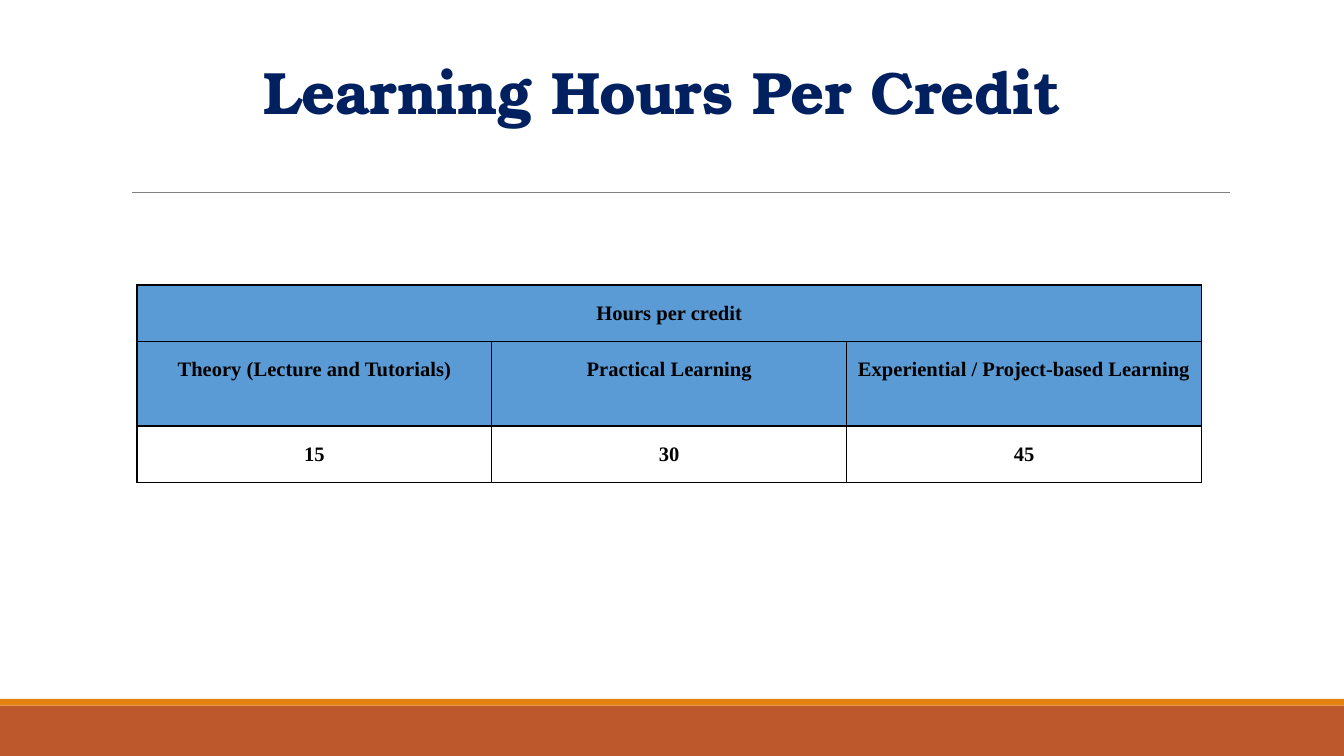
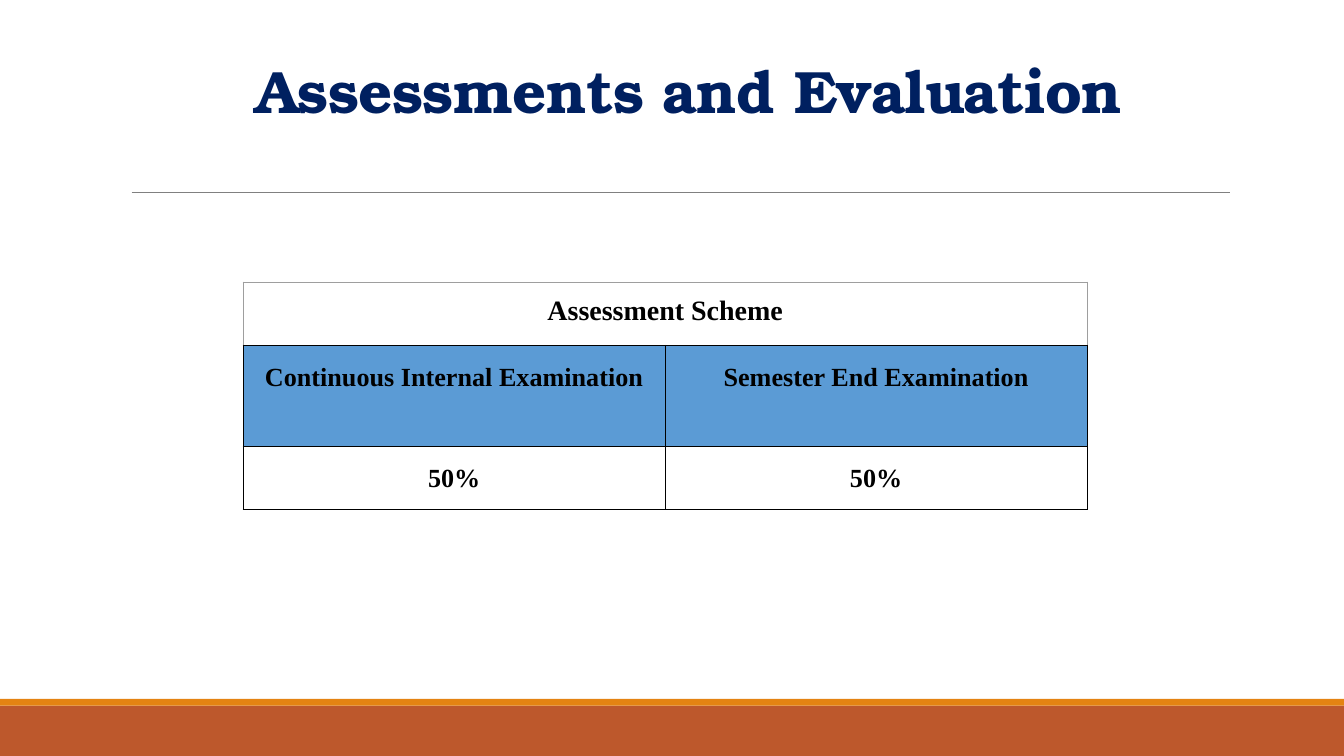
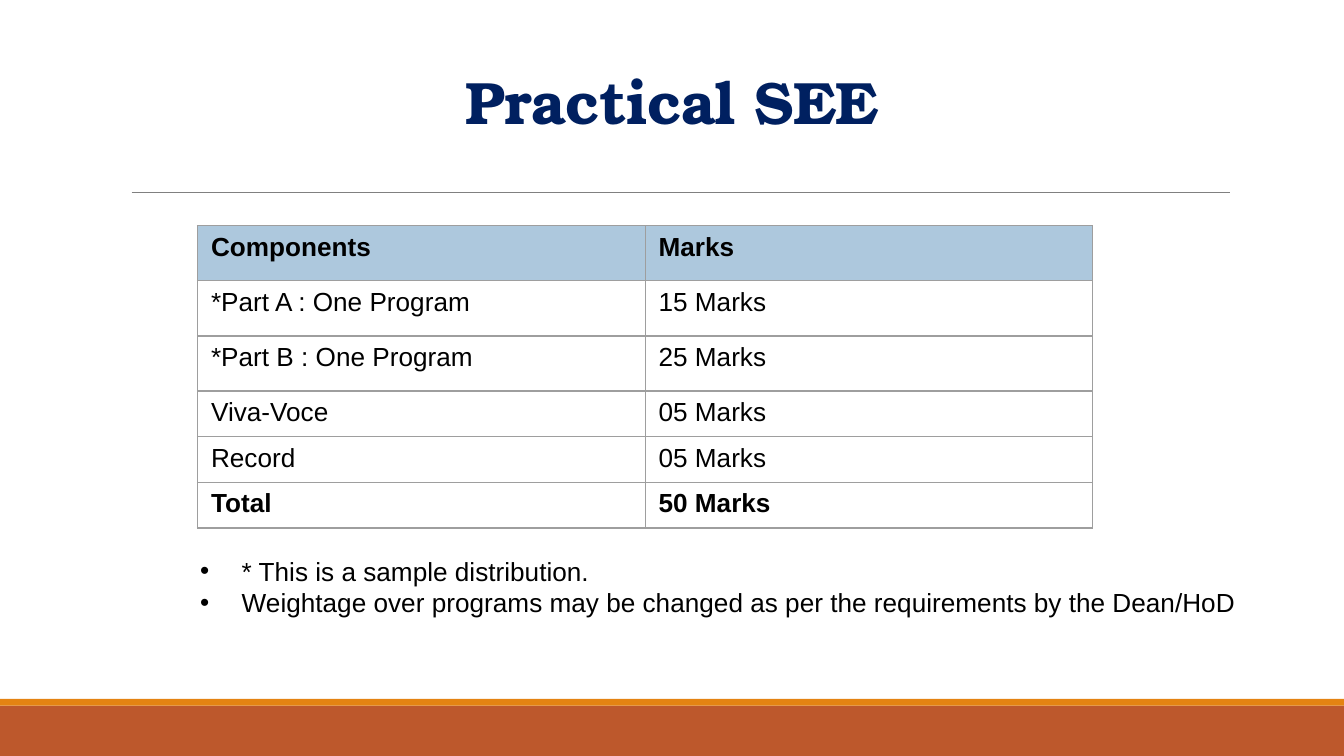
from dataclasses import dataclass

from lxml.etree import SubElement
from pptx import Presentation
from pptx.dml.color import RGBColor
from pptx.enum.shapes import MSO_CONNECTOR, MSO_SHAPE
from pptx.enum.text import MSO_ANCHOR, MSO_AUTO_SIZE, PP_ALIGN
from pptx.oxml.ns import qn
from pptx.util import Inches, Pt


@dataclass(frozen=True)
class Theme:
    band: str = "BD582C"
    band_edge: str = "E48312"
    rule: str = "808080"
    title: str = "002060"
    text: str = "000000"
    header: str = "5B9BD5"
    marks_header: str = "ADC8DD"
    grid: str = "000000"
    soft_grid: str = "9E9E9E"
    title_font: str = "TeX Gyre Bonum"
    table_font: str = "Times New Roman"
    body_font: str = "Arial"
    title_size: float = 32
    caption_size: float = 15
    body_size: float = 14
    small_size: float = 11


THEME = Theme()


def write(paragraph, text, *, font, size, color=THEME.text, bold=False, align=PP_ALIGN.LEFT,
          line_spacing=None, before=None, after=None, tracking=None):
    paragraph.alignment = align
    if line_spacing is not None:
        paragraph.line_spacing = line_spacing
    if before is not None:
        paragraph.space_before = Pt(before)
    if after is not None:
        paragraph.space_after = Pt(after)
    run = paragraph.add_run()
    run.text = text
    run.font.name = font
    run.font.size = Pt(size)
    run.font.bold = bold
    run.font.color.rgb = RGBColor.from_string(color)
    if tracking is not None:
        run.font._element.set("spc", str(round(tracking * 100)))


def indent(paragraph, left, first_line=0):
    properties = paragraph._p.get_or_add_pPr()
    properties.set("marL", str(Inches(left)))
    properties.set("indent", str(Inches(first_line)))
    return properties


def set_margins(target, horizontal, vertical):
    target.margin_left = target.margin_right = Inches(horizontal)
    target.margin_top = target.margin_bottom = Inches(vertical)


def set_borders(cell, color, bottom_color=None):
    properties = cell._tc.get_or_add_tcPr()
    for position, side in enumerate(("lnL", "lnR", "lnT", "lnB")):
        line = SubElement(properties, qn(f"a:{side}"), w=str(Pt(0.75)))
        fill = SubElement(line, qn("a:solidFill"))
        side_color = bottom_color if side == "lnB" and bottom_color else color
        SubElement(fill, qn("a:srgbClr"), val=side_color)
        properties.insert(position, line)


class Deck:
    def __init__(self, theme):
        self.theme = theme
        self.presentation = Presentation()
        self.presentation.slide_width = Inches(10)
        self.presentation.slide_height = Inches(10 * 9 / 16)
        self.slide = None

    def add_slide(self, title, title_box, title_indent=0):
        """Start a slide with the shared bands, rule and title style."""
        self.slide = self.presentation.slides.add_slide(self.presentation.slide_layouts[6])
        self.add_band(Inches(5.25), self.presentation.slide_height, self.theme.band)
        self.add_band(Inches(5.2), Inches(5.25), self.theme.band_edge)
        self.add_rule(0.98, 9.15, 1.43)
        self.add_title(title, title_box, title_indent)

    def add_band(self, top, bottom, color):
        band = self.slide.shapes.add_shape(
            MSO_SHAPE.RECTANGLE, 0, top, self.presentation.slide_width, bottom - top)
        band.shadow.inherit = False
        band.fill.solid()
        band.fill.fore_color.rgb = RGBColor.from_string(color)
        band.line.fill.background()

    def add_rule(self, left, right, top):
        rule = self.slide.shapes.add_connector(
            MSO_CONNECTOR.STRAIGHT, Inches(left), Inches(top), Inches(right), Inches(top))
        rule.line.color.rgb = RGBColor.from_string(self.theme.rule)
        rule.line.width = Pt(0.5)
        SubElement(rule._element.spPr, qn("a:effectLst"))

    def add_title(self, text, box, left_indent):
        frame = self.slide.shapes.add_textbox(*map(Inches, box)).text_frame
        frame.word_wrap = True
        set_margins(frame, 0.1, 0.1)
        paragraph = frame.paragraphs[0]
        write(paragraph, text, font=self.theme.title_font, size=self.theme.title_size,
              color=self.theme.title, bold=True, align=PP_ALIGN.CENTER,
              line_spacing=1.15, before=18, tracking=-0.4)
        indent(paragraph, left_indent)

    def add_table(self, left, top, column_width, row_heights, rows, style_cell):
        """Fill a table; style_cell(row) gives fill, borders, margins and text format.

        A row with a single text spans all columns.
        """
        column_count = max(map(len, rows))
        table = self.slide.shapes.add_table(
            len(rows), column_count, Inches(left), Inches(top),
            Inches(column_width * column_count), Inches(sum(row_heights))).table
        table.first_row = table.horz_banding = False
        for column in table.columns:
            column.width = Inches(column_width)
        for row_index, (texts, height) in enumerate(zip(rows, row_heights)):
            table.rows[row_index].height = Inches(height)
            style = style_cell(row_index)
            for column_index in range(column_count):
                cell = table.cell(row_index, column_index)
                cell.vertical_anchor = MSO_ANCHOR.TOP
                set_margins(cell, *style["margins"])
                if style["fill"]:
                    cell.fill.solid()
                    cell.fill.fore_color.rgb = RGBColor.from_string(style["fill"])
                else:
                    cell.fill.background()
                set_borders(cell, *style["borders"])
                if column_index < len(texts):
                    write(cell.text_frame.paragraphs[0], texts[column_index], **style["format"])
            if len(texts) < column_count:
                table.cell(row_index, 0).merge(table.cell(row_index, column_count - 1))

    def add_bullets(self, box, texts):
        frame = self.slide.shapes.add_textbox(*map(Inches, box)).text_frame
        frame.word_wrap = False
        frame.auto_size = MSO_AUTO_SIZE.SHAPE_TO_FIT_TEXT
        for index, text in enumerate(texts):
            paragraph = frame.add_paragraph() if index else frame.paragraphs[0]
            write(paragraph, text, font=self.theme.body_font, size=self.theme.body_size)
            properties = indent(paragraph, 0.31, -0.31)
            bullet_color = SubElement(properties, qn("a:buClr"))
            SubElement(bullet_color, qn("a:srgbClr"), val=self.theme.text)
            SubElement(properties, qn("a:buFont"), typeface=self.theme.body_font)
            SubElement(properties, qn("a:buChar"), char="•")


def build_learning_hours(deck):
    theme = deck.theme

    def style_cell(row):
        return {
            "fill": theme.header if row < 2 else None,
            "borders": (theme.grid,),
            "margins": (0.07, 0.1),
            "format": dict(font=theme.table_font, size=theme.small_size, bold=True,
                           align=PP_ALIGN.CENTER, line_spacing=1.15, before=12, after=12),
        }

    deck.add_slide("Learning Hours Per Credit ", (0.34, 0.23, 9.32, 1.09))
    deck.add_table(1.02, 2.12, 2.64, (0.42, 0.63, 0.42), [
        ("Hours per credit",),
        ("Theory (Lecture and Tutorials)", "Practical Learning",
         "Experiential / Project-based Learning"),
        ("15", "30", "45"),
    ], style_cell)


def build_assessments(deck):
    theme = deck.theme

    def style_cell(row):
        caption = row == 0
        return {
            "fill": theme.header if row == 1 else None,
            "borders": (theme.soft_grid, theme.grid) if caption else (theme.grid,),
            "margins": (0.1 if caption else 0.07, 0.1),
            "format": dict(font=theme.table_font, bold=True, align=PP_ALIGN.CENTER,
                           size=theme.caption_size if caption else theme.body_size,
                           line_spacing=None if caption else 1.15),
        }

    deck.add_slide("Assessments and Evaluation ", (0.51, 0.22, 8.6, 0.91), title_indent=0.78)
    deck.add_table(1.81, 2.1, 3.14, (0.47, 0.75, 0.47), [
        ("Assessment Scheme",),
        ("Continuous Internal Examination", "Semester End Examination"),
        ("50%", "50%"),
    ], style_cell)


def build_practical(deck):
    theme = deck.theme
    rows = [
        ("Components", "Marks"),
        ("*Part A : One Program", "15 Marks"),
        ("*Part B : One Program", "25 Marks"),
        ("Viva-Voce", "05 Marks"),
        ("Record", "05 Marks"),
        ("Total", "50 Marks"),
    ]

    def style_cell(row):
        return {
            "fill": theme.marks_header if row == 0 else None,
            "borders": (theme.soft_grid,),
            "margins": (0.1, 0.05),
            "format": dict(font=theme.body_font, size=theme.body_size,
                           bold=row in (0, len(rows) - 1)),
        }

    deck.add_slide("Practical SEE", (0.34, 0.3, 9.32, 0.9))
    deck.add_table(1.47, 1.68, 3.33, [0.41] * 3 + [0.34] * 3, rows, style_cell)
    deck.add_bullets((1.39, 4.08, 7.95, 0.57), [
        "* This is a sample distribution.",
        "Weightage over programs may be changed as per the requirements by the Dean/HoD",
    ])


def main():
    deck = Deck(THEME)
    build_learning_hours(deck)
    build_assessments(deck)
    build_practical(deck)
    deck.presentation.save("out.pptx")


if __name__ == "__main__":
    main()
